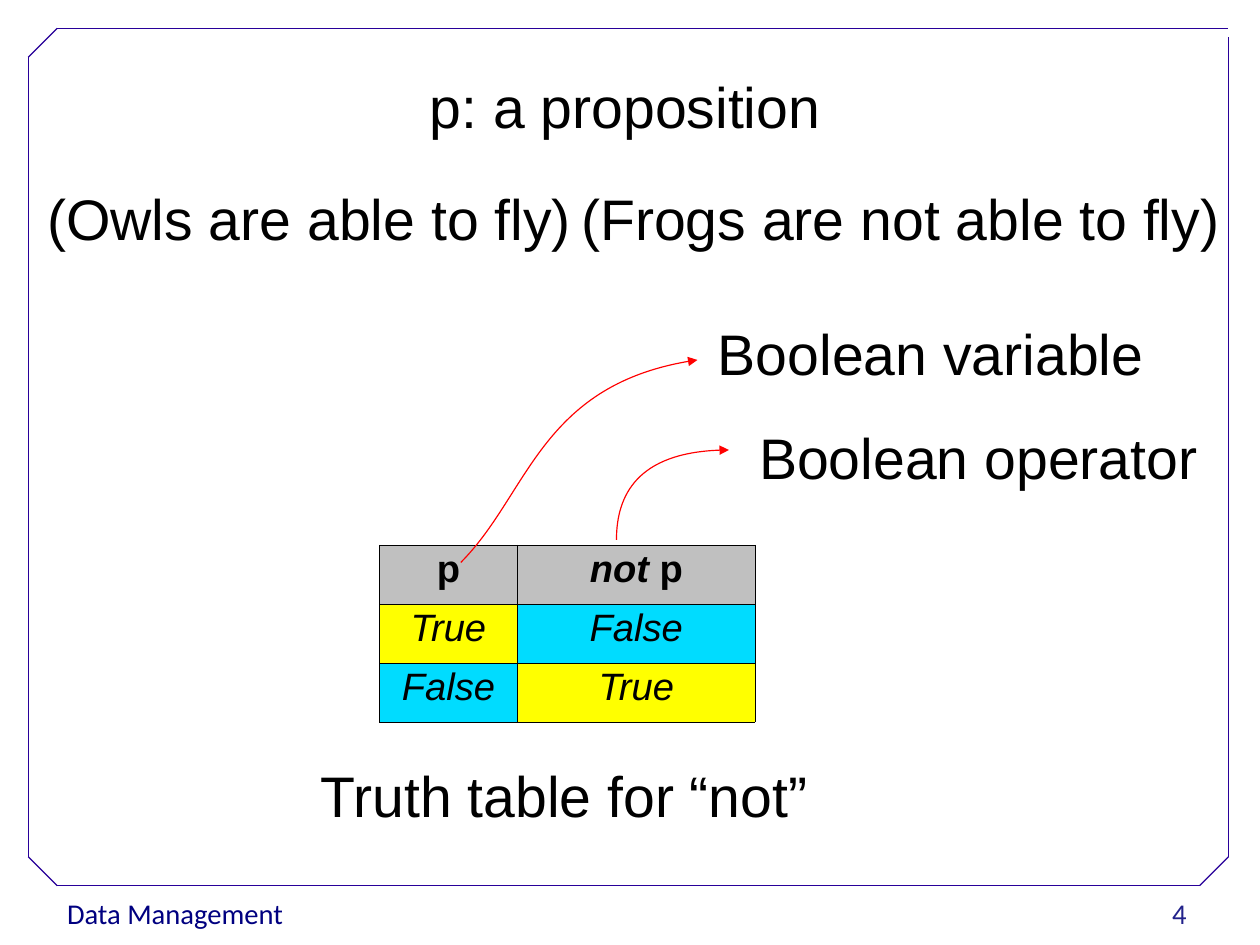
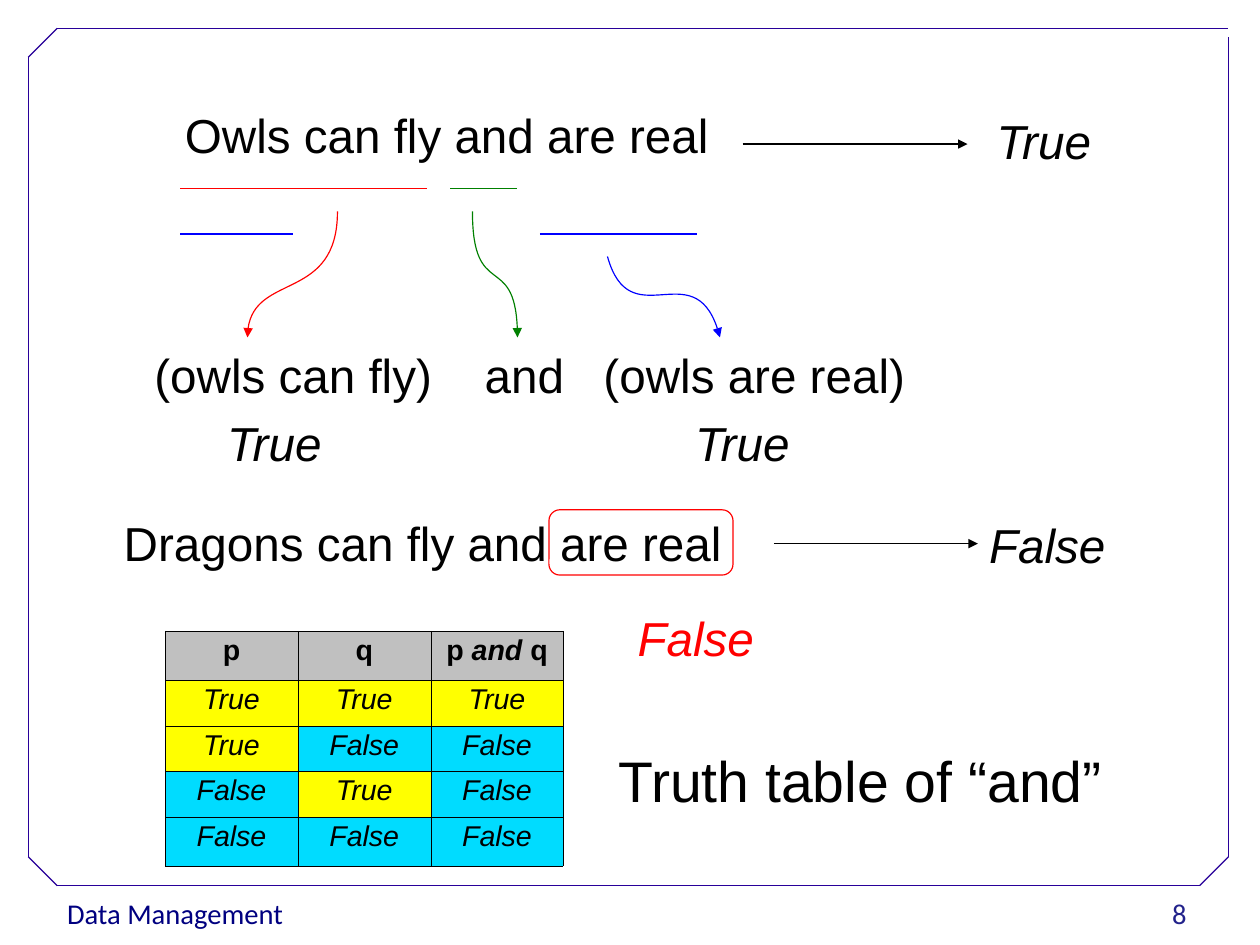
from itertools import product

from lxml.etree import SubElement
from pptx import Presentation
from pptx.dml.color import RGBColor
from pptx.enum.shapes import MSO_CONNECTOR as Connector, MSO_SHAPE as Preset
from pptx.enum.text import MSO_ANCHOR as Anchor, PP_ALIGN as Align
from pptx.oxml.ns import qn
from pptx.util import Cm, Inches, Pt

BLACK = RGBColor(0x00, 0x00, 0x00)
WHITE = RGBColor(0xFF, 0xFF, 0xFF)
RED = RGBColor(0xFF, 0x00, 0x00)
GREEN = RGBColor(0x00, 0x80, 0x00)
BLUE = RGBColor(0x00, 0x00, 0xFF)
FRAME = RGBColor(0x28, 0x00, 0x99)
NAVY = RGBColor(0x00, 0x00, 0x80)
PAGE_BLUE = RGBColor(0x22, 0x22, 0x8B)
GRAY = RGBColor(0xC0, 0xC0, 0xC0)
YELLOW = RGBColor(0xFF, 0xFF, 0x00)
CYAN = RGBColor(0x00, 0xDC, 0xFF)

COLUMNS, ROWS = 28, 21
TRUTH_FILLS = {"True": YELLOW, "False": CYAN}


def write(frame, text, size=30, color=BLACK, font="Arial", bold=False,
          align=Align.LEFT, spacing=0.93, tabs=()):
    paragraph = frame.paragraphs[0]
    if tabs:
        stops = SubElement(paragraph._p.get_or_add_pPr(), qn("a:tabLst"))
        for stop in tabs:
            SubElement(stops, qn("a:tab"), pos=str(int(stop)), algn="l")
    paragraph.alignment = align
    paragraph.line_spacing = spacing
    for index, part in enumerate(text.split("*")):
        if part:
            run = paragraph.add_run()
            run.text = part
            run.font.name = font
            run.font.size = Pt(size)
            run.font.bold = bold
            run.font.italic = index % 2 == 1
            run.font.color.rgb = color


class Deck:
    def __init__(self):
        self.presentation = Presentation()
        self.presentation.slide_width = Cm(28)
        self.presentation.slide_height = Cm(21)
        self.slide = None

    def col(self, count):
        return round(self.presentation.slide_width * count / COLUMNS)

    def row(self, count):
        return round(self.presentation.slide_height * count / ROWS)

    def point(self, col, row):
        return self.col(col), self.row(row)

    def box(self, left, top, width, height):
        return *self.point(left, top), *self.point(width, height)

    def inset(self, frame, top=0.05):
        frame.margin_left = frame.margin_right = Inches(0.1)
        frame.margin_top, frame.margin_bottom = Inches(top), Inches(0.05)

    def stroke(self, shape, color, arrow=False):
        shape.line.color.rgb = color
        shape.line.width = Pt(0.75)
        if arrow:
            SubElement(shape.element.spPr.find(qn("a:ln")), qn("a:tailEnd"), type="triangle")

    def line(self, start, end, color=BLACK, arrow=False, target=None):
        connector = self.slide.shapes.add_connector(
            Connector.STRAIGHT, *self.point(*start), *self.point(*end))
        self.stroke(connector, color, arrow)
        SubElement(connector.element.spPr, qn("a:effectLst"))
        if target is not None:
            connector.end_connect(target, 1)

    def curve(self, points, color):
        start, *rest = [self.point(*point) for point in points]
        builder = self.slide.shapes.build_freeform(*start)
        builder.add_line_segments(rest, close=False)
        curve = builder.convert_to_shape()
        outline = curve.element.spPr.find(".//" + qn("a:path"))
        bezier = SubElement(outline, qn("a:cubicBezTo"))
        for segment in outline.findall(qn("a:lnTo")):
            bezier.append(segment[0])
            outline.remove(segment)
        curve.fill.background()
        curve.shadow.inherit = False
        self.stroke(curve, color, arrow=True)

    def shape(self, preset, bounds, fill=None, line=None):
        shape = self.slide.shapes.add_shape(preset, *self.box(*bounds))
        shape.shadow.inherit = False
        if fill is None:
            shape.fill.background()
        else:
            shape.fill.solid()
            shape.fill.fore_color.rgb = fill
        if line is None:
            shape.line.fill.background()
        else:
            self.stroke(shape, line)
        return shape

    def text(self, text, left, top, width, size=30, wrap=False, **style):
        height = 1.68 if size == 36 else 1.42
        label = self.slide.shapes.add_textbox(*self.box(left, top, width, height))
        self.inset(label.text_frame, top=0.08)
        label.text_frame.word_wrap = wrap
        write(label.text_frame, text, size=size, **style)
        return label

    def truth_table(self, left, top, widths, heights, header, values, size):
        table = self.slide.shapes.add_table(
            len(heights), len(widths),
            *self.box(left, top, sum(widths), sum(heights))).table
        table.first_row = table.horz_banding = False
        for column, width in zip(table.columns, widths):
            column.width = self.col(width)
        for table_row, height in zip(table.rows, heights):
            table_row.height = self.row(height)
        for r, texts in enumerate([header, *values]):
            for c, text in enumerate(texts):
                cell = table.cell(r, c)
                self.inset(cell)
                self.borders(cell)
                cell.fill.solid()
                cell.fill.fore_color.rgb = TRUTH_FILLS.get(text, GRAY)
                write(cell.text_frame, text if r == 0 else f"*{text}*",
                      size=size, bold=r == 0, align=Align.CENTER)

    def borders(self, cell):
        properties = cell._tc.get_or_add_tcPr()
        for side in "LRTB":
            edge = SubElement(properties, qn(f"a:ln{side}"), w="762")
            fill = SubElement(edge, qn("a:solidFill"))
            SubElement(fill, qn("a:srgbClr"), val=str(BLACK))

    def new_slide(self, number):
        self.slide = self.presentation.slides.add_slide(self.presentation.slide_layouts[6])
        footer = self.shape(Preset.RECTANGLE, (1.24, 19.76, 4.57, 1.02), fill=WHITE)
        self.inset(footer.text_frame)
        footer.text_frame.word_wrap = False
        footer.text_frame.vertical_anchor = Anchor.TOP
        write(footer.text_frame, "Data Management", size=18, color=NAVY,
              font="Calibri", spacing=1.02)
        left, right, top, bottom, cut = 0.63, 27.3, 0.63, 19.68, 0.64
        for start, end in (
            ((left + cut, bottom), (right - cut, bottom)),
            ((left, bottom - cut), (left, top + cut)),
            ((left + cut, top), (right, top)),
            ((right, bottom - cut), (right, 0.82)),
            ((left, top + cut), (left + cut, top)),
            ((right - cut, bottom), (right, bottom - cut)),
            ((left, bottom - cut), (left + cut, bottom)),
        ):
            self.line(start, end, FRAME)
        page = self.slide.shapes.add_textbox(*self.box(20.1, 19.77, 6.52, 1.12))
        self.inset(page.text_frame)
        page.text_frame.word_wrap = True
        page.text_frame.vertical_anchor = Anchor.MIDDLE
        write(page.text_frame, str(number), size=18, color=PAGE_BLUE,
              font="Calibri", align=Align.RIGHT)


def negation_slide(deck):
    deck.new_slide(4)
    for text, left, top, width in (
        ("p: a proposition", 9.3, 1.52, 9.4),
        ("(Owls are able to fly)", 0.8, 4, 12.4),
        ("(Frogs are not able to fly)", 12.67, 4, 15),
        ("Truth table for “not”", 6.88, 16.83, 11.6),
        ("Boolean variable", 15.7, 7, 10.2),
        ("Boolean operator", 16.62, 9.32, 10.5),
    ):
        deck.text(text, left, top, width, size=36)
    deck.truth_table(8.43, 12.11, [3.07, 5.28], [1.31] * 3, ["p", "*not* p"],
                     [(str(p), str(not p)) for p in (True, False)], size=24)
    deck.curve([(10.24, 12.5), (11.74, 11), (12, 8.5), (15.5, 8)], RED)
    deck.curve([(13.7, 12), (13.7, 11), (14.2, 10), (16.2, 10)], RED)


def conjunction_slide(deck):
    deck.new_slide(8)
    deck.text("Owls can fly and are real", 3.86, 2.27, 12.4)
    for start, end, row, color in (
        (4, 9.5, 4.19, RED), (10, 11.5, 4.19, GREEN),
        (4, 6.5, 5.2, BLUE), (12, 15.5, 5.2, BLUE),
    ):
        deck.line((start, row), (end, row), color)
    deck.curve([(7.5, 4.7), (7.5, 6.7), (5.5, 6), (5.5, 7.5)], RED)
    deck.curve([(10.5, 4.7), (10.5, 6.7), (11.5, 5.5), (11.5, 7.5)], GREEN)
    deck.curve([(13.5, 5.7), (14, 7.5), (15.5, 5.5), (16, 7.5)], BLUE)
    deck.text("(owls can fly)\tand\t(owls are real)", 3.18, 7.59, 17.8,
              wrap=True, tabs=(Inches(2.89), Inches(3.93)))
    for left, top in ((4.8, 9.1), (15.2, 9.1), (21.9, 2.4)):
        deck.text("*True*", left, top, 2.8)
    deck.line((16.5, 3.2), (21.5, 3.2), arrow=True)

    deck.text("Dragons can fly and are real", 2.5, 11.32, 14)
    dragons_verdict = deck.text("*False*", 21.73, 11.37, 3.3)
    deck.line((17.2, 12.08), (21.73, 12.08), arrow=True, target=dragons_verdict)
    deck.text("*False*", 13.92, 13.45, 3.3, color=RED)
    deck.shape(Preset.ROUNDED_RECTANGLE, (12.2, 11.33, 4.09, 1.45), line=RED)

    deck.truth_table(3.67, 14.02, [2.95] * 3, [1.1, 1.01, 1.01, 1.01, 1.1],
                     ["p", "q", "p *and* q"],
                     [(str(p), str(q), str(p and q))
                      for p, q in product((True, False), repeat=2)], size=18)
    deck.text("Truth table of “and”", 13.49, 16.5, 11.6, size=36)


def main():
    deck = Deck()
    negation_slide(deck)
    conjunction_slide(deck)
    deck.presentation.save("out.pptx")


if __name__ == "__main__":
    main()
